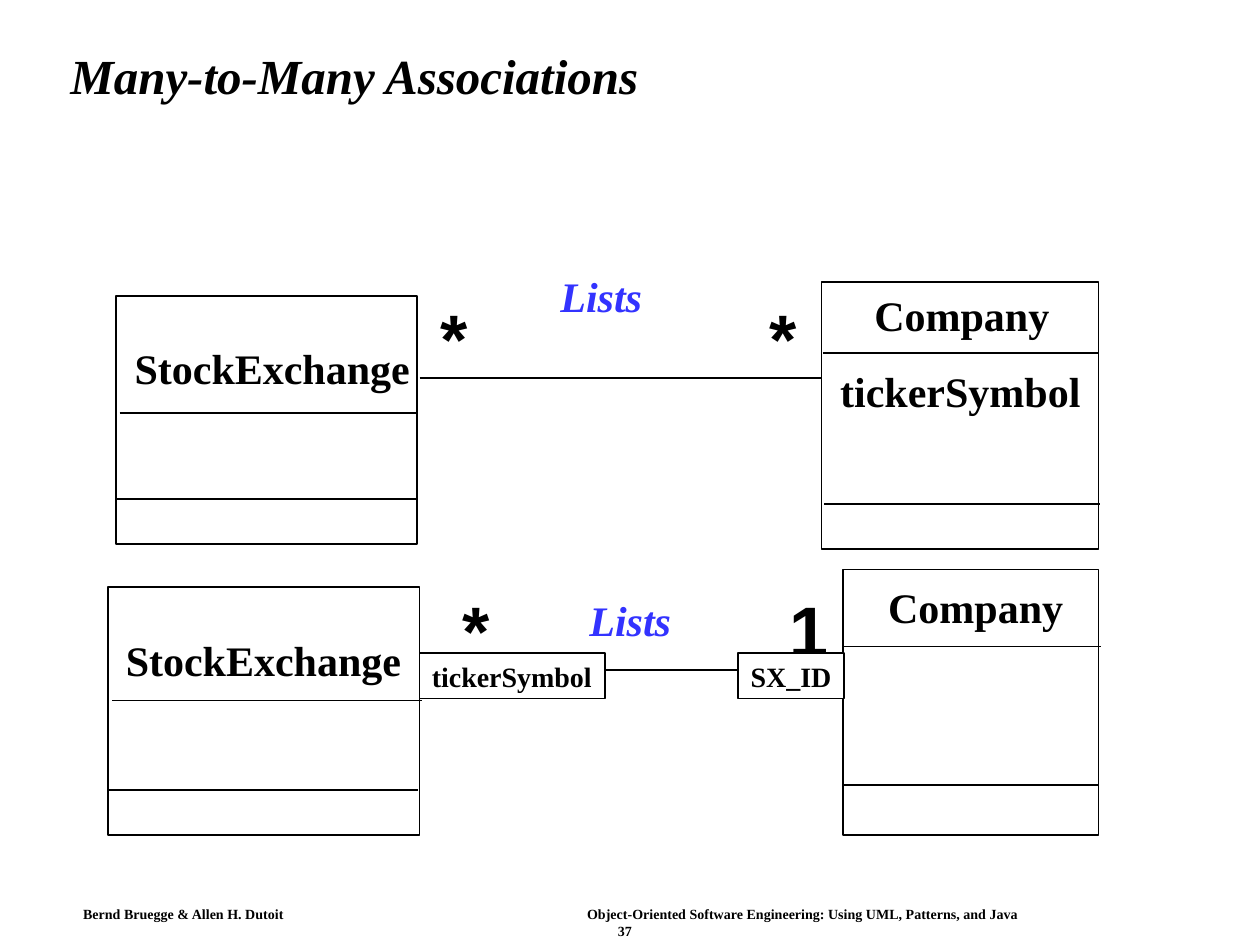
from dataclasses import dataclass

from lxml import etree
from pptx import Presentation
from pptx.dml.color import RGBColor
from pptx.enum.shapes import MSO_CONNECTOR, MSO_SHAPE
from pptx.enum.text import MSO_ANCHOR, PP_ALIGN
from pptx.oxml.ns import qn
from pptx.util import Inches, Pt

RECTANGLE = MSO_SHAPE.RECTANGLE
STRAIGHT = MSO_CONNECTOR.STRAIGHT
MIDDLE = MSO_ANCHOR.MIDDLE
LEFT, CENTER = PP_ALIGN.LEFT, PP_ALIGN.CENTER


@dataclass(frozen=True)
class Theme:
    ink: RGBColor = RGBColor(0x00, 0x00, 0x00)
    accent: RGBColor = RGBColor(0x33, 0x33, 0xFF)
    paper: RGBColor = RGBColor(0xFF, 0xFF, 0xFF)
    serif: str = "Times New Roman"
    sans: str = "Arial"
    title: int = 28
    name: int = 24
    multiplicity: int = 40
    qualifier: int = 16
    footer: int = 8
    line: int = 1


theme = Theme()
prs = Presentation()
prs.slide_width, prs.slide_height = Inches(10), Inches(7.5)
slide = prs.slides.add_slide(prs.slide_layouts[6])
shapes = slide.shapes

# Grid: 100 columns by 75 rows
COL, ROW = prs.slide_width / 100, prs.slide_height / 75


def grid(left, top, width, height):
    return [round(n * unit) for n, unit in zip((left, top, width, height), (COL, ROW) * 2)]


def write(shape, text, size, color=theme.ink, font=theme.serif, italic=False, wrap=False, tab=None):
    frame = shape.text_frame
    frame.word_wrap = wrap
    frame.text = text
    for paragraph in frame.paragraphs:
        if tab:
            tab_list = etree.SubElement(paragraph._p.get_or_add_pPr(), qn("a:tabLst"))
            etree.SubElement(tab_list, qn("a:tab"), pos=str(round(tab * COL)), algn="l")
        paragraph.alignment = LEFT
        paragraph.font.size, paragraph.font.name = Pt(size), font
        paragraph.font.bold, paragraph.font.italic = True, italic
        paragraph.font.color.rgb = color
    return frame


# Footer: authors and book on one line, page number centred below
footer = shapes.add_textbox(*grid(5.8, 71.5, 87.6, 2.1))
footer_frame = write(
    footer,
    "Bernd Bruegge & Allen H. Dutoit\t"
    "Object-Oriented Software Engineering: Using UML, Patterns, and Java\n37",
    theme.footer,
    wrap=True,
    tab=40,
)
footer_frame.margin_left = footer_frame.margin_right = Inches(0.08)
footer_frame.margin_top = footer_frame.margin_bottom = Inches(0.04)
footer_frame.paragraphs[1].alignment = CENTER

# Title
title = shapes.add_textbox(*grid(4.6, 2.4, 89.2, 7.7))
title_frame = write(title, "Many-to-Many Associations", theme.title, italic=True, wrap=True)
title_frame.vertical_anchor = MIDDLE
title_frame.paragraphs[0].line_spacing = 0.9

# Class outlines
class_boxes = [
    (9.2, 23.5, 23.9, 19.7),
    (65.2, 22.4, 22, 21.2),
    (8.6, 46.6, 24.7, 19.7),
    (66.9, 45.2, 20.3, 21.1),
]
for box in class_boxes:
    outline = shapes.add_shape(RECTANGLE, *grid(*box))
    outline.shadow.inherit = False
    outline.fill.background()
    outline.line.color.rgb, outline.line.width = theme.ink, Pt(theme.line)

# Compartment dividers and associations: row, from column, to column
rules = [
    (32.8, 9.5, 33), (39.6, 9.3, 33.2),
    (28, 65.3, 87.2), (40, 65.4, 87.3),
    (55.6, 8.9, 33.5), (62.7, 8.6, 33.2),
    (51.3, 67, 87.4), (62.3, 67, 87.2),
    (30, 33.3, 65.2), (53.2, 34.9, 66.9),
]
for row, start, end in rules:
    rule = shapes.add_connector(STRAIGHT, *grid(start, row, end, row))
    rule.line.color.rgb, rule.line.width = theme.ink, Pt(theme.line)
    etree.SubElement(rule._element.spPr, qn("a:effectLst"))

# Class names and attribute
class_texts = [
    ("StockExchange", 9.7, 26.7, 24.4),
    ("Company", 68.4, 22.5, 16.5),
    ("tickerSymbol", 65.7, 28.5, 21.5),
    ("StockExchange", 9, 49.9, 24.4),
    ("Company", 69.5, 45.7, 16.5),
]
for text, left, top, width in class_texts:
    write(shapes.add_textbox(*grid(left, top, width, 5)), text, theme.name)

# Association names
for left, top in [(43.5, 21), (45.8, 46.7)]:
    association = shapes.add_textbox(*grid(left, top, 9.3, 5))
    write(association, "Lists", theme.name, theme.accent, italic=True)

# Multiplicities
multiplicities = [
    ("*", 34, 22.9, 4.1), ("*", 60.1, 22.9, 4.1),
    ("*", 35.7, 46.1, 4.1), ("1", 61.7, 46.1, 5.1),
]
for text, left, top, width in multiplicities:
    multiplicity = shapes.add_textbox(*grid(left, top, width, 7.6))
    write(multiplicity, text, theme.multiplicity, font=theme.sans)

# Qualifiers cover the ends of the lower association
for text, left, width in [("tickerSymbol", 33.3, 14.7), ("SX_ID", 58.6, 8.4)]:
    qualifier = shapes.add_shape(RECTANGLE, *grid(left, 51.85, width, 3.6))
    qualifier.shadow.inherit = False
    qualifier.fill.solid()
    qualifier.fill.fore_color.rgb = theme.paper
    qualifier.line.color.rgb, qualifier.line.width = theme.ink, Pt(theme.line)
    write(qualifier, text, theme.qualifier)

prs.save("out.pptx")
